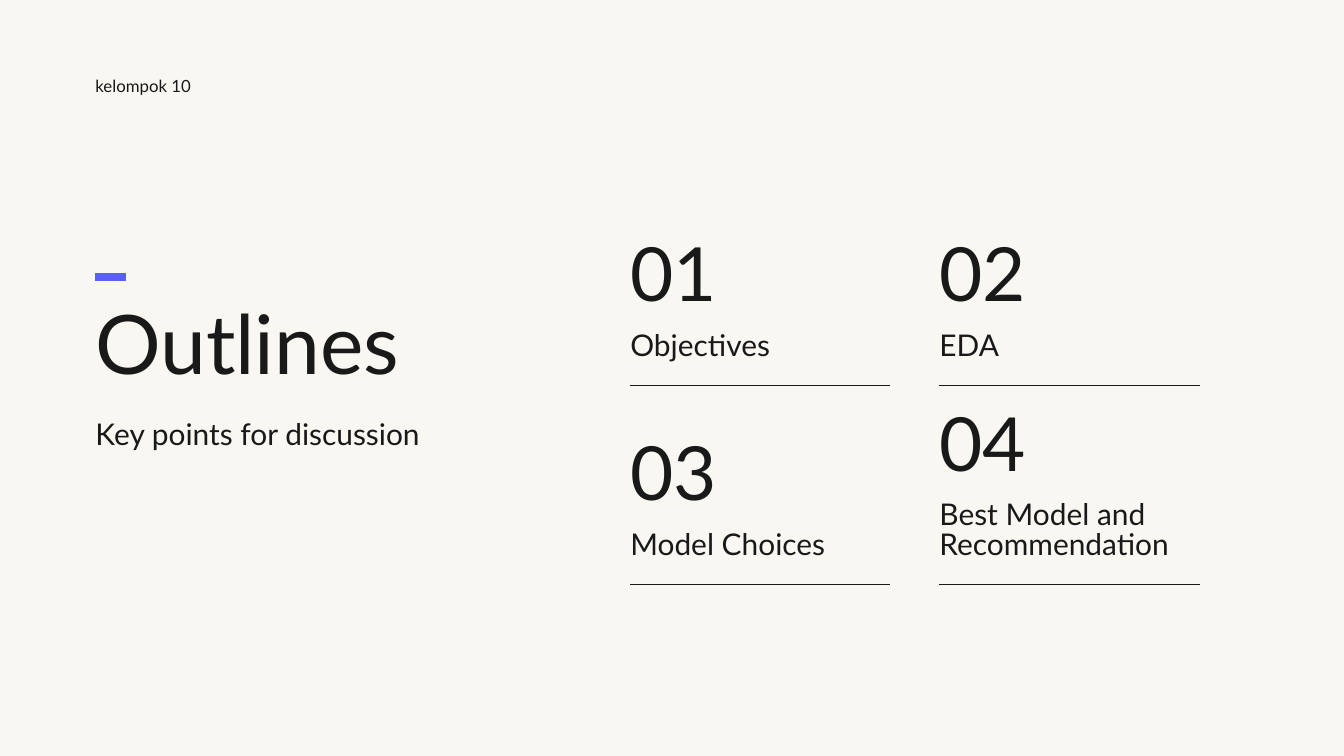
from lxml import etree
from pptx import Presentation
from pptx.dml.color import RGBColor
from pptx.enum import shapes, text
from pptx.oxml import ns
from pptx.util import Inches, Pt

COLORS = {"background": "F8F7F2", "ink": "191919", "accent": "5A60F1"}
FONT = "Lato"

# Number, label, label height
TOPICS = [
    ("01", "Objectives", 0.48),
    ("02", "EDA", 0.48),
    ("03", "Model Choices", 0.48),
    ("04", "Best Model and Recommendation", 0.92),
]


def color(name):
    return RGBColor.from_string(COLORS[name])


def write(shape, words, size, spacing):
    """Fill a shape with one left-aligned line of text without margins."""
    frame = shape.text_frame
    frame.text = words
    frame.word_wrap = True
    frame.auto_size = text.MSO_AUTO_SIZE.SHAPE_TO_FIT_TEXT
    frame.vertical_anchor = text.MSO_ANCHOR.TOP
    frame.margin_left = frame.margin_right = 0
    frame.margin_top = frame.margin_bottom = 0
    paragraph = frame.paragraphs[0]
    paragraph.alignment = text.PP_ALIGN.LEFT
    paragraph.line_spacing = Pt(spacing)
    font = paragraph.runs[0].font
    font.name, font.size = FONT, Pt(size)
    font.color.rgb = color("ink")


def add_text(parent, box, words, size, spacing):
    shape = parent.add_textbox(*map(Inches, box))
    write(shape, words, size, spacing)


def add_rule(parent, left, top, width, color_name, weight):
    line = parent.add_connector(
        shapes.MSO_CONNECTOR.STRAIGHT,
        Inches(left), Inches(top), Inches(left + width), Inches(top))
    line.line.color.rgb = color(color_name)
    line.line.width = Pt(weight)
    etree.SubElement(line._element.spPr, ns.qn("a:effectLst"))


def add_heading(slide, left, top, width):
    """Accent dash, title and subtitle."""
    add_rule(slide.shapes, left, top, 0.46, "accent", 8)
    title = slide.shapes.title
    title.left, title.top = Inches(left), Inches(top + 0.48)
    title.width, title.height = Inches(width), Inches(1.33)
    write(title, "Outlines", 88, 88)
    add_text(slide.shapes, (left, top + 2.15, width, 0.48),
             "Key points for discussion", 32, 32)


def add_topic(slide, left, bottom, width, number, label, label_height):
    """Number and label stacked upwards from a rule at the bottom."""
    parts = slide.shapes.add_group_shape().shapes
    label_top = bottom - 0.31 - label_height
    add_text(parts, (left, label_top - 1.35, 2.17, 1.21), number, 80, 80)
    add_text(parts, (left, label_top, width, label_height), label, 32, 32)
    add_rule(parts, left, bottom, width, "ink", 1)


def add_topics(slide, left, first_bottom, column_step, row_step):
    """Two-column grid of topics."""
    for index, topic in enumerate(TOPICS):
        row, column = divmod(index, 2)
        add_topic(slide, left + column * column_step,
                  first_bottom + row * row_step, 3.87, *topic)


def main():
    presentation = Presentation()
    presentation.slide_width = Inches(20)
    presentation.slide_height = Inches(11.25)
    slide = presentation.slides.add_slide(presentation.slide_layouts[5])
    slide.background.fill.solid()
    slide.background.fill.fore_color.rgb = color("background")

    # Group name at the top
    add_text(slide.shapes, (1.42, 1.08, 5.92, 0.34), "kelompok 10", 18, 25.2)
    # Left and right halves
    add_heading(slide, 1.42, 4.12, 6.75)
    add_topics(slide, 9.38, 5.74, 4.6, 2.96)

    presentation.save("out.pptx")


if __name__ == "__main__":
    main()
